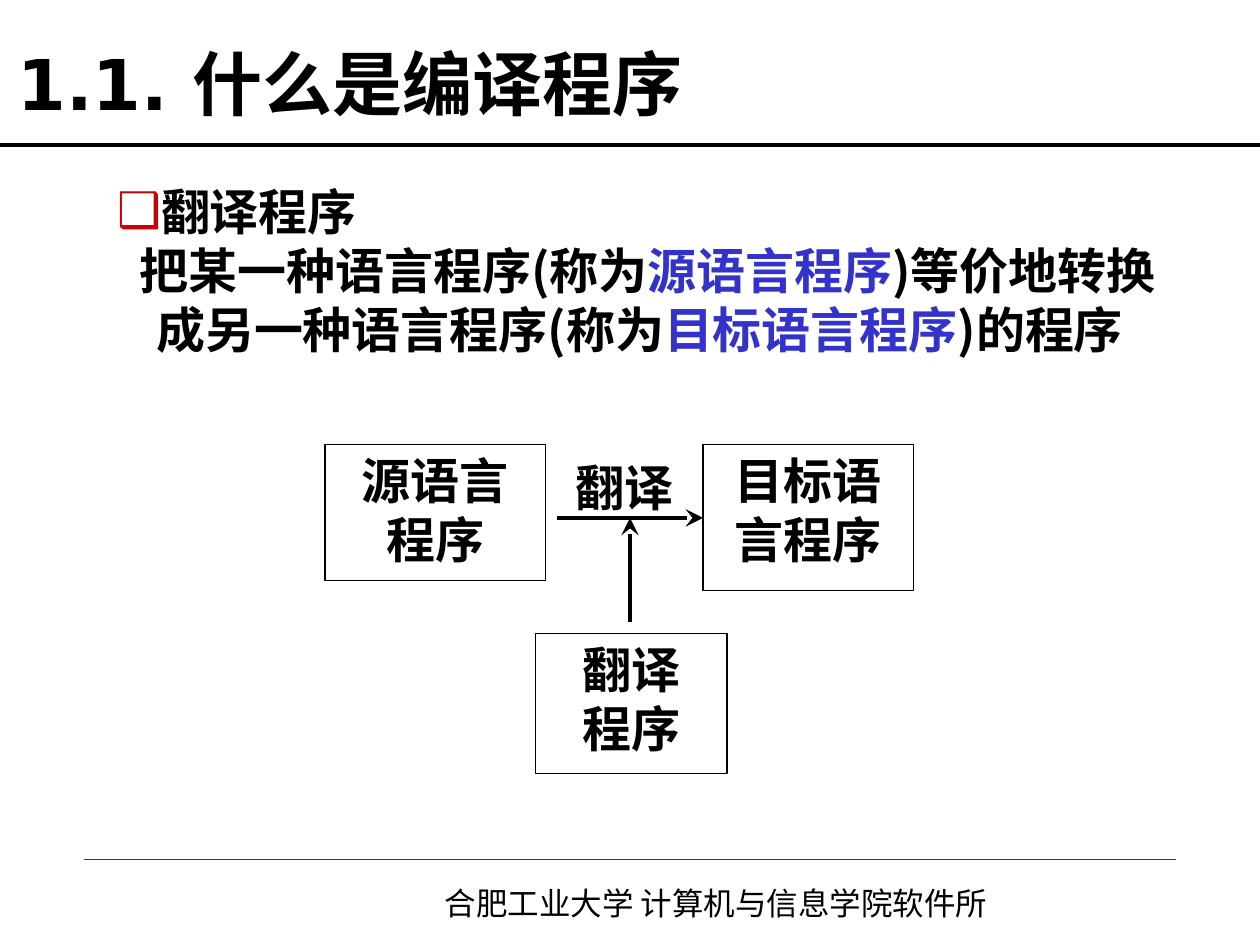
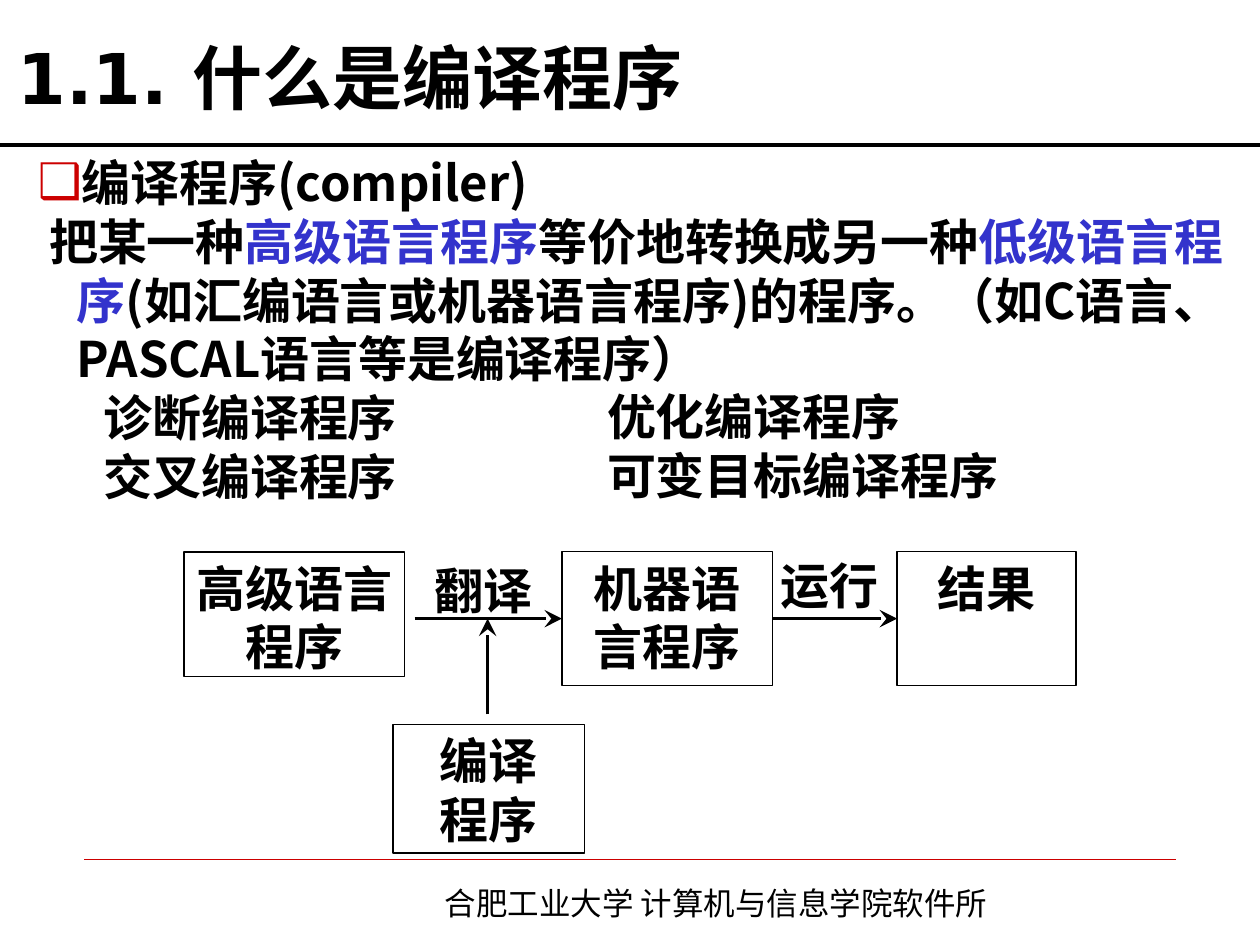
from dataclasses import dataclass

from pptx import Presentation
from pptx.dml.color import RGBColor
from pptx.enum.shapes import MSO_CONNECTOR as CONNECTOR, MSO_SHAPE as SHAPE
from pptx.enum.text import MSO_ANCHOR as ANCHOR, MSO_AUTO_SIZE as AUTO_SIZE, PP_ALIGN as ALIGN
from pptx.oxml.ns import qn
from pptx.util import Inches, Pt
from lxml.etree import SubElement


@dataclass(frozen=True)
class Theme:
    ink: str = "000000"
    accent: str = "3333CC"
    red: str = "CC0000"
    title_font: str = "DejaVu Sans"
    text_font: str = "Noto Sans CJK SC"
    label_font: str = "Times New Roman"
    title_size: int = 40
    body_size: int = 28
    footer_size: int = 18


THEME = Theme()


def write(paragraph, text, font=THEME.text_font, size=THEME.body_size, bold=True,
          align=ALIGN.LEFT, margin=0, indent=0, bullet=None):
    """Fill a paragraph; text between bars takes the accent colour."""
    paragraph.alignment = align
    paragraph.space_before = Pt(0)
    props = paragraph._p.get_or_add_pPr()
    props.set("marL", str(Inches(margin)))
    props.set("indent", str(Inches(indent)))
    props.set("hangingPunct", "0")
    if bullet:
        bullet_color = SubElement(props, qn("a:buClr"))
        SubElement(bullet_color, qn("a:srgbClr"), val=THEME.red)
        SubElement(props, qn("a:buChar"), char=bullet)
    else:
        SubElement(props, qn("a:buNone"))
    for i, part in enumerate(text.split("|")):
        if not part:
            continue
        run = paragraph.add_run()
        run.text = part
        run.font.size, run.font.bold, run.font.name = Pt(size), bold, font
        run.font.color.rgb = RGBColor.from_string(THEME.accent if i % 2 else THEME.ink)
        SubElement(run._r.get_or_add_rPr(), qn("a:ea"), typeface=THEME.text_font)


def draw_line(slide, start, end, width, color=THEME.ink, arrow=False):
    points = [Inches(value) for value in (*start, *end)]
    line = slide.shapes.add_connector(CONNECTOR.STRAIGHT, *points)
    line.line.width = Pt(width)
    line.line.color.rgb = RGBColor.from_string(color)
    if arrow:
        SubElement(line.line._get_or_add_ln(), qn("a:tailEnd"), type="stealth", w="lg", len="lg")
    SubElement(line._element.spPr, qn("a:effectLst"))
    return line


# Content: body paragraphs, boxes (text, place, side inset), arrows and labels
heading = dict(margin=0.31, indent=-0.31, bullet="❑")
kinds = dict(margin=0.52)
slides = [
    dict(
        title_top=0.21,
        body_at=(0.83, 1.39, 8.75, 1.97),
        body=[
            ("翻译程序", heading),
            ("把某一种语言程序(称为|源语言程序|)等价地转换成另一种语言程序(称为|目标语言程序|)的程序",
             dict(margin=0.31, indent=-0.13)),
        ],
        more_kinds=[],
        boxes=dict(
            source=("源语言程序", (2.58, 3.53, 1.75, 1.08), 0.15),
            target=("目标语言程序", (5.58, 3.53, 1.67, 1.16), 0.1),
            translator=("翻译\n程序", (4.25, 5.03, 1.52, 1.11), 0.1),
        ),
        arrows=[
            ((4.42, 4.11), (5.58, 4.11), None, "target"),
            ((5, 4.94), (5, 4.11), None, None),
        ],
        labels=[("翻译", (4.33, 3.53, 1.25, 0.67))],
    ),
    dict(
        title_top=0.16,
        body_at=(0.2, 1.16, 9.8, 2.9),
        body=[
            ("编译程序(compiler)", heading),
            ("把某一种|高级语言程序|等价地转换成另一种|低级语言程序|"
             "(如汇编语言或机器语言程序)的程序。（如C语言、PASCAL语言等是编译程序）",
             dict(margin=0.31, indent=-0.22)),
            ("诊断编译程序", kinds),
            ("交叉编译程序", kinds),
        ],
        more_kinds=["优化编译程序", "可变目标编译程序"],
        boxes=dict(
            source=("高级语言程序", (1.46, 4.38, 1.75, 0.99), 0.09),
            target=("机器语言程序", (4.46, 4.38, 1.67, 1.06), 0.1),
            result=("结果", (7.12, 4.38, 1.42, 1.06), 0.1),
            compiler=("编译\n程序", (3.12, 5.75, 1.52, 1.02), 0.1),
        ),
        arrows=[
            ((3.29, 4.91), (4.46, 4.91), None, "target"),
            ((6.13, 4.91), (7.12, 4.91), "target", "result"),
            ((3.87, 5.67), (3.87, 4.91), None, None),
        ],
        labels=[("翻译", (3.21, 4.38, 1.25, 0.61)), ("运行", (5.96, 4.3, 1.25, 0.68))],
    ),
]

deck = Presentation()
deck.slide_width, deck.slide_height = Inches(10), Inches(7.5)

for content in slides:
    slide = deck.slides.add_slide(deck.slide_layouts[1])
    title, body = slide.placeholders

    # Footer
    draw_line(slide, (0.67, 6.82), (9.33, 6.82), 0.25, THEME.red)
    footer = slide.shapes.add_textbox(Inches(3.43), Inches(6.97), Inches(4.8), Inches(0.4))
    footer.text_frame.word_wrap = True
    write(footer.text_frame.paragraphs[0], "合肥工业大学 计算机与信息学院软件所",
          size=THEME.footer_size, bold=False)

    # Title and rule
    title.left, title.top = Inches(0.04), Inches(content["title_top"])
    title.width, title.height = Inches(8.5), Inches(0.83)
    title.text_frame.vertical_anchor = ANCHOR.BOTTOM
    title.text_frame.auto_size = AUTO_SIZE.NONE
    write(title.text_frame.paragraphs[0], "1.1. 什么是编译程序",
          font=THEME.title_font, size=THEME.title_size)
    draw_line(slide, (0, 1.15), (10, 1.15), 2.25)

    # Definition
    body.left, body.top, body.width, body.height = map(Inches, content["body_at"])
    frame = body.text_frame
    frame.auto_size = AUTO_SIZE.NONE
    for i, (text, layout) in enumerate(content["body"]):
        write(frame.add_paragraph() if i else frame.paragraphs[0], text, **layout)

    # Second column of compiler kinds
    if content["more_kinds"]:
        column = slide.shapes.add_textbox(Inches(4.72), Inches(3.02), Inches(4.5), Inches(1.03))
        frame = column.text_frame
        frame.word_wrap = True
        for i, kind in enumerate(content["more_kinds"]):
            write(frame.add_paragraph() if i else frame.paragraphs[0], kind)

    # Diagram boxes
    boxes = {}
    for role, (text, place, inset) in content["boxes"].items():
        box = slide.shapes.add_shape(SHAPE.RECTANGLE, *map(Inches, place))
        box.shadow.inherit = False
        box.fill.background()
        box.line.width = Pt(0.75)
        box.line.color.rgb = RGBColor.from_string(THEME.ink)
        frame = box.text_frame
        frame.word_wrap = True
        frame.vertical_anchor = ANCHOR.TOP
        frame.margin_left = frame.margin_right = Inches(inset)
        for i, line_text in enumerate(text.split("\n")):
            write(frame.add_paragraph() if i else frame.paragraphs[0], line_text,
                  align=ALIGN.CENTER)
        boxes[role] = box

    # Diagram arrows
    for start, end, from_role, to_role in content["arrows"]:
        arrow = draw_line(slide, start, end, 2, arrow=True)
        if from_role:
            arrow.begin_connect(boxes[from_role], 3)
        if to_role:
            arrow.end_connect(boxes[to_role], 1)

    # Arrow labels
    for text, place in content["labels"]:
        label = slide.shapes.add_textbox(*map(Inches, place))
        label.text_frame.word_wrap = False
        label.text_frame.vertical_anchor = ANCHOR.MIDDLE
        write(label.text_frame.paragraphs[0], text, font=THEME.label_font, align=ALIGN.CENTER)

deck.save("out.pptx")
